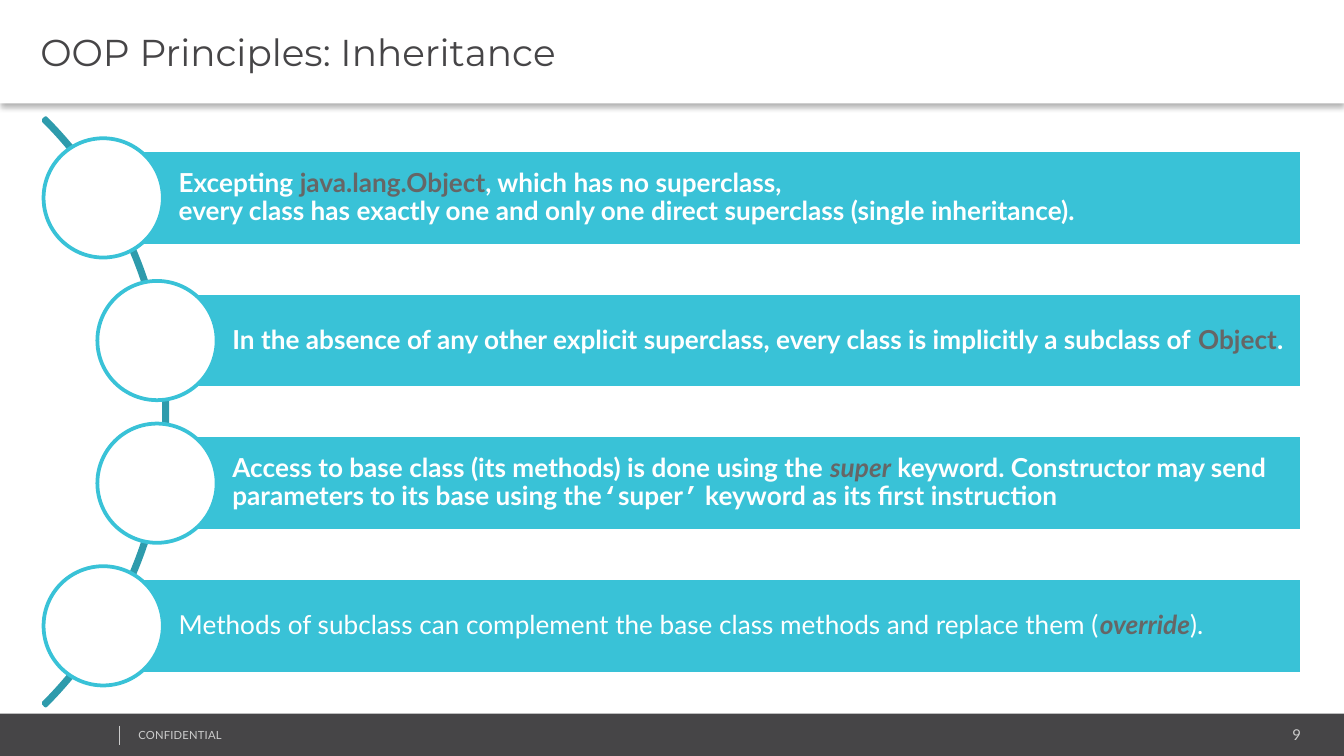
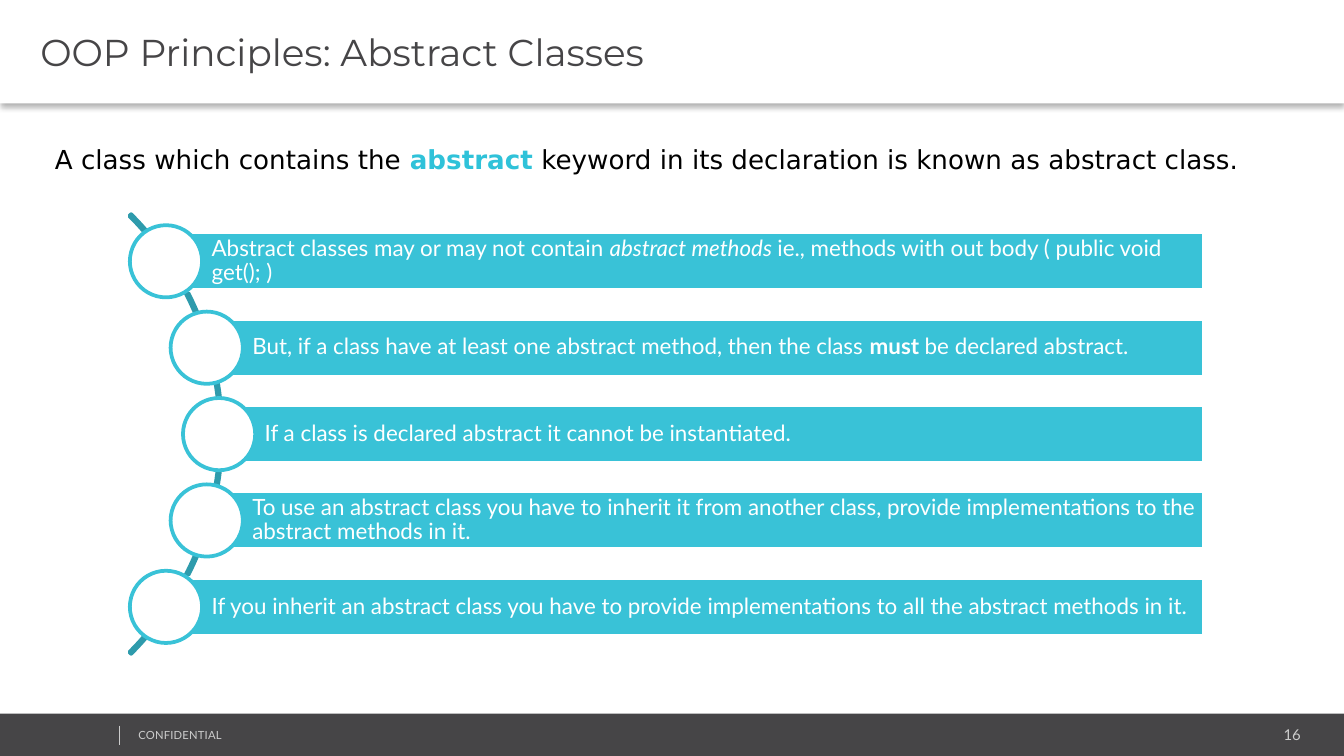
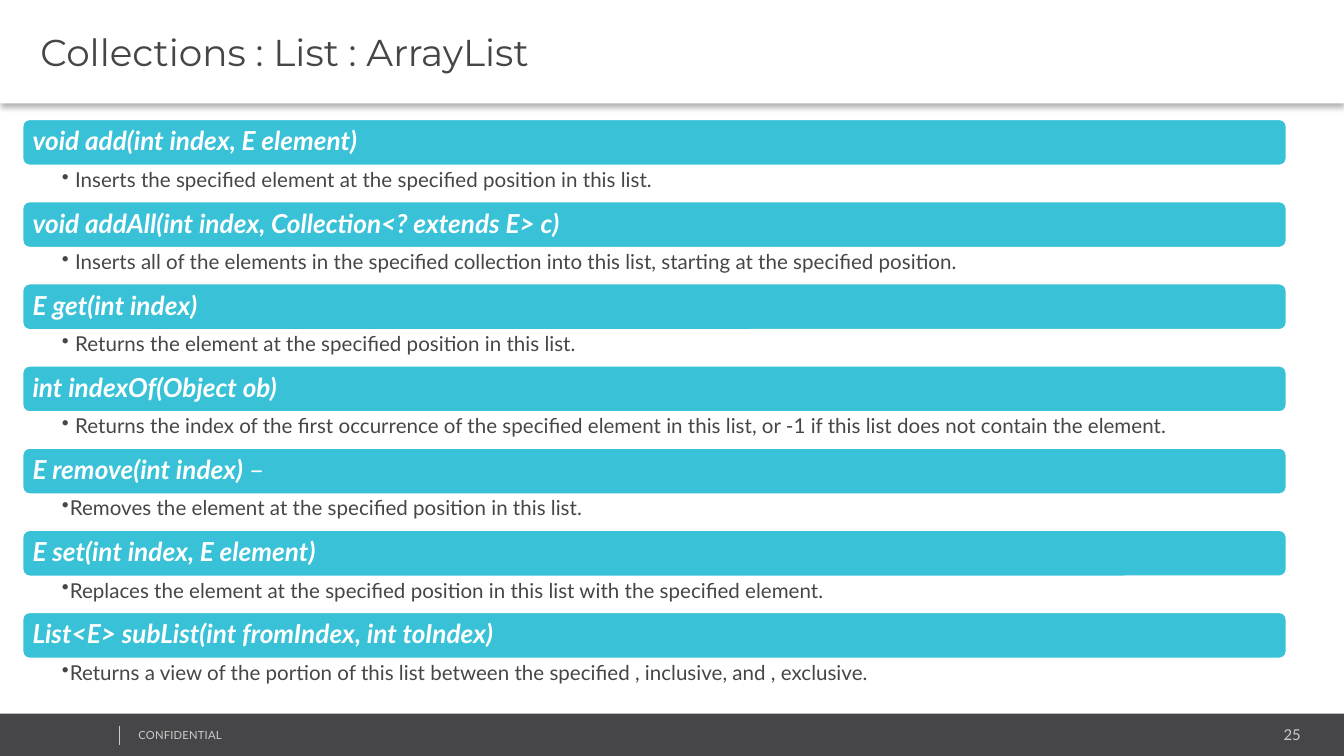
from lxml.etree import SubElement
from pptx import Presentation
from pptx.dml.color import RGBColor
from pptx.enum.shapes import MSO_CONNECTOR as Connector, MSO_SHAPE as Preset
from pptx.enum.text import MSO_ANCHOR as Anchor, MSO_AUTO_SIZE as AutoSize, PP_ALIGN as Align
from pptx.oxml.ns import qn
from pptx.util import Emu, Inches, Pt

SLIDE_WIDTH, SLIDE_HEIGHT = Inches(10), Inches(5.625)
COLUMNS, ROWS = 100, 56.25  # square grid cells

TEAL, DARK_TEAL, KEYWORD_TEAL = "39C2D7", "2E9BAC", "2FC2D9"
WHITE, BLACK, CHARCOAL = "FFFFFF", "000000", "464547"
GRAY, FOOTER_GRAY = "666666", "CCCCCC"
BODY_FONT, TITLE_FONT, INTRO_FONT = "Lato", "Montserrat", "DejaVu Sans"
FOOTER_INSETS = (0.7, 0.4, 0.7, 0.4)

BOLD = {"bold": True}
ITALIC = {"italic": True}
BOLD_ITALIC = {"bold": True, "italic": True}
BOLD_GRAY = {"bold": True, "color": GRAY}
BOLD_ITALIC_GRAY = {"bold": True, "italic": True, "color": GRAY}
QUOTE = {"bold": True, "font": "Courier New"}

INHERITANCE_RULES = [
    [("Excepting ", BOLD), ("java.lang.Object", BOLD_GRAY),
     (", which has no superclass,", BOLD), ("\n", {}),
     ("every class has exactly one and only one direct superclass (single inheritance).", BOLD)],
    [("In the absence of any other explicit superclass, every class is implicitly a subclass of ", BOLD),
     ("Object", BOLD_GRAY), (".", BOLD)],
    [("Access to base class (its methods) is done using the ", BOLD), ("super", BOLD_ITALIC_GRAY),
     (" keyword. Constructor may send parameters to its base using the", BOLD),
     ("‘", QUOTE), ("super", BOLD), ("’", QUOTE), (" keyword as its first instruction", BOLD)],
    [("Methods of subclass can complement the base class methods and replace them (", {}),
     ("override", BOLD_ITALIC_GRAY), (").", {})],
]

ABSTRACT_INTRO = [
    ("A class which contains the ", {}), ("abstract", {"bold": True, "color": KEYWORD_TEAL}),
    (" keyword in its declaration is known as abstract class.", {}),
]

ABSTRACT_RULES = [
    [("Abstract classes may or may not contain ", {}), ("abstract methods ", ITALIC),
     ("ie., methods with out body ( public void get(); )", {})],
    [("But, if a class have at least one abstract method, then the class ", {}),
     ("must ", BOLD), ("be declared abstract.", {})],
    [("If a class is declared abstract it cannot be instantiated.", {})],
    [("To use an abstract class you have to inherit it from another class, "
      "provide implementations to the abstract methods in it.", {})],
    [("If you inherit an abstract class you have to provide implementations "
      "to all the abstract methods in it.", {})],
]

LIST_METHODS = [
    ([("void add(int index, E element)", BOLD_ITALIC)],
     " Inserts the specified element at the specified position in this list."),
    ([("void addAll(int index, Collection<? extends E> c)", BOLD_ITALIC)],
     " Inserts all of the elements in the specified collection into this list, "
     "starting at the specified position."),
    ([("E get(int index)", BOLD_ITALIC)],
     " Returns the element at the specified position in this list."),
    ([("int indexOf(Object ob)", BOLD_ITALIC)],
     " Returns the index of the first occurrence of the specified element in this list, "
     "or -1 if this list does not contain the element."),
    ([("E remove(int index) ", BOLD_ITALIC), ("–", {})],
     "Removes the element at the specified position in this list."),
    ([("E set(int index, E element)", BOLD_ITALIC)],
     "Replaces the element at the specified position in this list with the specified element."),
    ([("List<E> subList(int fromIndex, int toIndex)", BOLD_ITALIC)],
     "Returns a view of the portion of this list between the specified , inclusive, and , exclusive."),
]


def rgb(color):
    return RGBColor.from_string(color)


def across(columns):
    return Emu(round(SLIDE_WIDTH * columns / COLUMNS))


def down(rows):
    return Emu(round(SLIDE_HEIGHT * rows / ROWS))


def place(left, top, width, height):
    return across(left), down(top), across(width), down(height)


def write(shape, pieces, size, color, font=BODY_FONT, insets=(1, 0.5, 1, 0.5),
          anchor=Anchor.TOP, align=Align.LEFT, line_spacing=None):
    """Fill a shape with one paragraph made of (text, style) pieces."""
    frame = shape.text_frame
    frame.word_wrap = True
    frame.vertical_anchor = anchor
    left, top, right, bottom = insets
    frame.margin_left, frame.margin_right = across(left), across(right)
    frame.margin_top, frame.margin_bottom = down(top), down(bottom)
    paragraph = frame.paragraphs[0]
    paragraph.alignment = align
    paragraph.line_spacing = line_spacing
    for text, style in pieces:
        if text == "\n":
            paragraph.add_line_break()
            continue
        run = paragraph.add_run()
        run.text = text
        run.font.size = Pt(size)
        run.font.name = style.get("font", font)
        run.font.bold = style.get("bold", False)
        run.font.italic = style.get("italic", False)
        run.font.color.rgb = rgb(style.get("color", color))
    return paragraph


def add_preset(slide, preset, box, fill=None, line=None):
    shape = slide.shapes.add_shape(preset, *place(*box))
    shape.shadow.inherit = False
    if fill:
        shape.fill.solid()
        shape.fill.fore_color.rgb = rgb(fill)
    else:
        shape.fill.background()
    if line:
        shape.line.color.rgb = rgb(line)
        shape.line.width = Pt(2)
    else:
        shape.line.fill.background()
    return shape


def add_text(slide, box, pieces, size, color, grow=False, **layout):
    text_box = slide.shapes.add_textbox(*place(*box))
    paragraph = write(text_box, pieces, size, color, **layout)
    if grow:
        text_box.text_frame.auto_size = AutoSize.SHAPE_TO_FIT_TEXT
    return paragraph


def cast_shadow_down(shape):
    effects = shape._element.spPr.find(qn("a:effectLst"))
    shadow = SubElement(effects, qn("a:outerShdw"), blurRad=str(Pt(3.1)), dist=str(Pt(2)),
                        dir="5400000", algn="t", rotWithShape="0")
    color = SubElement(shadow, qn("a:srgbClr"), val=BLACK)
    SubElement(color, qn("a:alpha"), val="30000")


def add_footer(slide, number):
    add_preset(slide, Preset.RECTANGLE, (0, 53.1, COLUMNS, 3.15), CHARCOAL)
    add_text(slide, (81.2, 53.6, 16.3, 2.1), [(str(number), {})], 8, FOOTER_GRAY,
             grow=True, insets=FOOTER_INSETS, align=Align.RIGHT)
    label = add_text(slide, (9.6, 53.8, 25.3, 1.8), [("CONFIDENTIAL", {})], 6, FOOTER_GRAY,
                     grow=True, insets=FOOTER_INSETS)
    label.runs[0].font._element.set("spc", "10")
    divider = slide.shapes.add_connector(Connector.STRAIGHT, across(8.9), down(54),
                                         across(8.9), down(55.4))
    divider.line.color.rgb = rgb(FOOTER_GRAY)
    divider.line.width = Pt(0.25)
    SubElement(divider._element.spPr, qn("a:effectLst"))


def add_base_slide(presentation, title, number):
    slide = presentation.slides.add_slide(presentation.slide_layouts[6])
    add_footer(slide, number)
    header = add_preset(slide, Preset.RECTANGLE, (0, 0, COLUMNS, 7.7), WHITE)
    cast_shadow_down(header)
    write(header, [(title, {})], 20, CHARCOAL, TITLE_FONT,
          insets=(3, 0.4, 0.7, 0.4), anchor=Anchor.MIDDLE)
    return slide


def add_curved_list(slide, rules, center, radius, bar_height, right, size):
    """Stack bars whose left ends, marked by circles, follow an arc."""
    center_x, center_y = center
    arc_radius = radius * 1.01
    arc = add_preset(slide, Preset.BLOCK_ARC,
                     (center_x - arc_radius, center_y - arc_radius, 2 * arc_radius, 2 * arc_radius),
                     line=DARK_TEAL)
    for index, value in enumerate((189, 27, 0.004)):
        arc.adjustments[index] = value
    pitch = bar_height * 1.495
    diameter = bar_height * 1.25
    margin = bar_height * 0.06
    for index, pieces in enumerate(rules):
        offset = (index - (len(rules) - 1) / 2) * pitch
        left = center_x + (radius ** 2 - offset ** 2) ** 0.5
        middle = center_y + offset
        bar = add_preset(slide, Preset.RECTANGLE,
                         (left, middle - bar_height / 2, right - left, bar_height), TEAL, WHITE)
        write(bar, pieces, size, WHITE, insets=(bar_height * 0.79, margin, margin, margin),
              anchor=Anchor.MIDDLE, line_spacing=0.9)
        add_preset(slide, Preset.OVAL,
                   (left - diameter / 2, middle - diameter / 2, diameter, diameter), WHITE, TEAL)


def add_bullet(paragraph):
    paragraph.level = 1
    properties = paragraph._p.get_or_add_pPr()
    properties.set("marL", str(across(0.6)))
    properties.set("indent", str(-across(0.6)))
    SubElement(properties, qn("a:buChar"), char="•")


def add_method_list(slide, methods):
    left, width, top, bottom = 1.6, 94.2, 8.8, 51.6
    bar_height = 3.6
    pitch = (bottom - top) / len(methods)
    for index, (signature, description) in enumerate(methods):
        bar_top = top + index * pitch
        bar = add_preset(slide, Preset.ROUNDED_RECTANGLE, (left, bar_top, width, bar_height),
                         TEAL, WHITE)
        write(bar, signature, 14, WHITE, insets=(0.65, 0.6, 0.65, 0.6),
              anchor=Anchor.MIDDLE, line_spacing=0.9)
        add_bullet(add_text(slide, (left, bar_top + bar_height, width, pitch - bar_height),
                            [(description, {})], 11, CHARCOAL,
                            insets=(3, 0.2, 1.1, 0.2), line_spacing=0.9))


def main():
    presentation = Presentation()
    presentation.slide_width, presentation.slide_height = SLIDE_WIDTH, SLIDE_HEIGHT

    inheritance = add_base_slide(presentation, "OOP Principles: Inheritance", 9)
    add_curved_list(inheritance, INHERITANCE_RULES, center=(-18.45, 30.65), radius=30.6,
                    bar_height=7.1, right=96.85, size=14)

    abstract = add_base_slide(presentation, "OOP Principles: Abstract Classes", 16)
    add_text(abstract, (3.1, 10.2, 92.5, 3.4), ABSTRACT_INTRO, 14, BLACK, grow=True, font=INTRO_FONT)
    add_curved_list(abstract, ABSTRACT_RULES, center=(-6.6, 32.3), radius=22.9,
                    bar_height=4.3, right=89.55, size=12)

    array_list = add_base_slide(presentation, "Collections : List : ArrayList", 25)
    add_method_list(array_list, LIST_METHODS)

    presentation.save("out.pptx")


if __name__ == "__main__":
    main()
